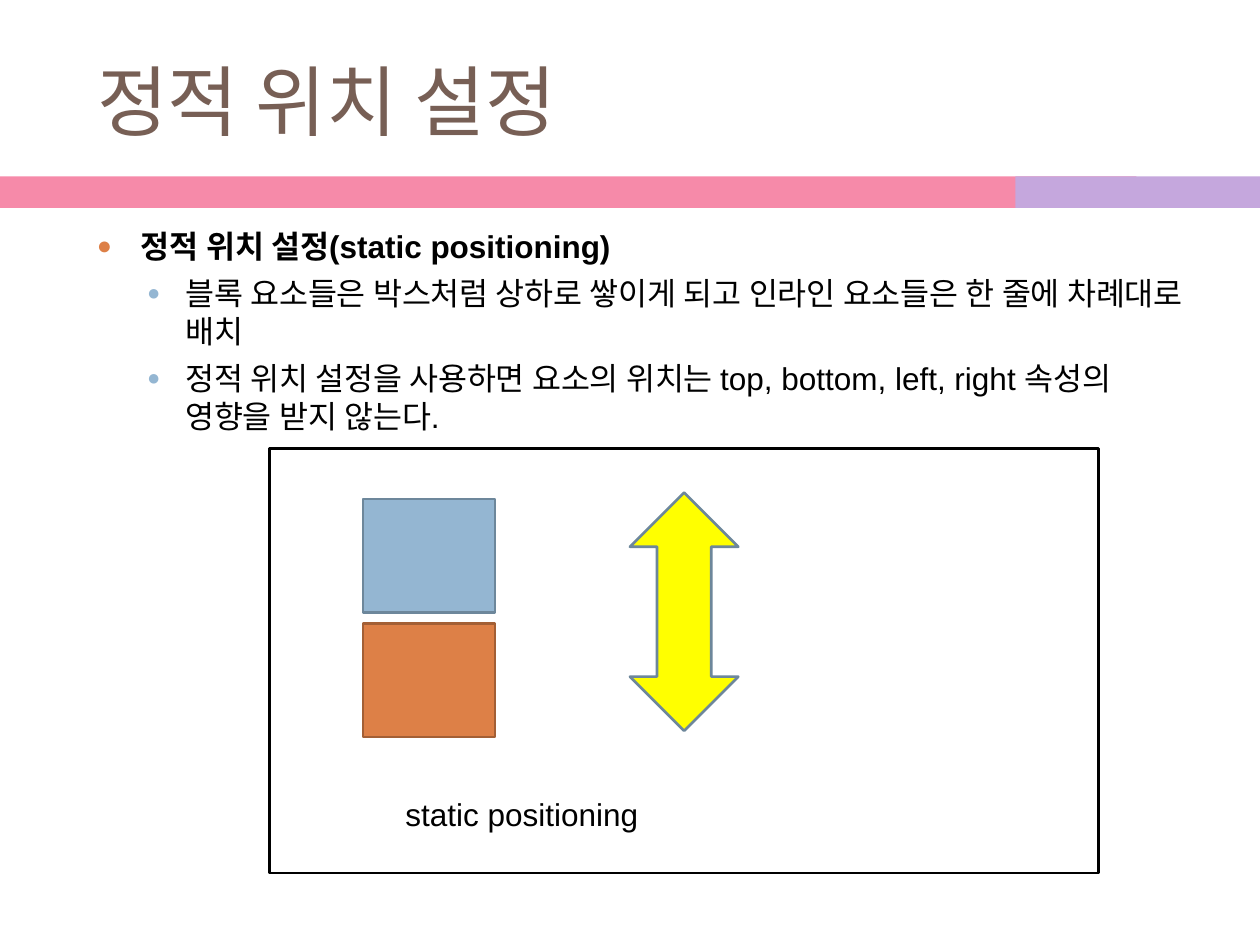
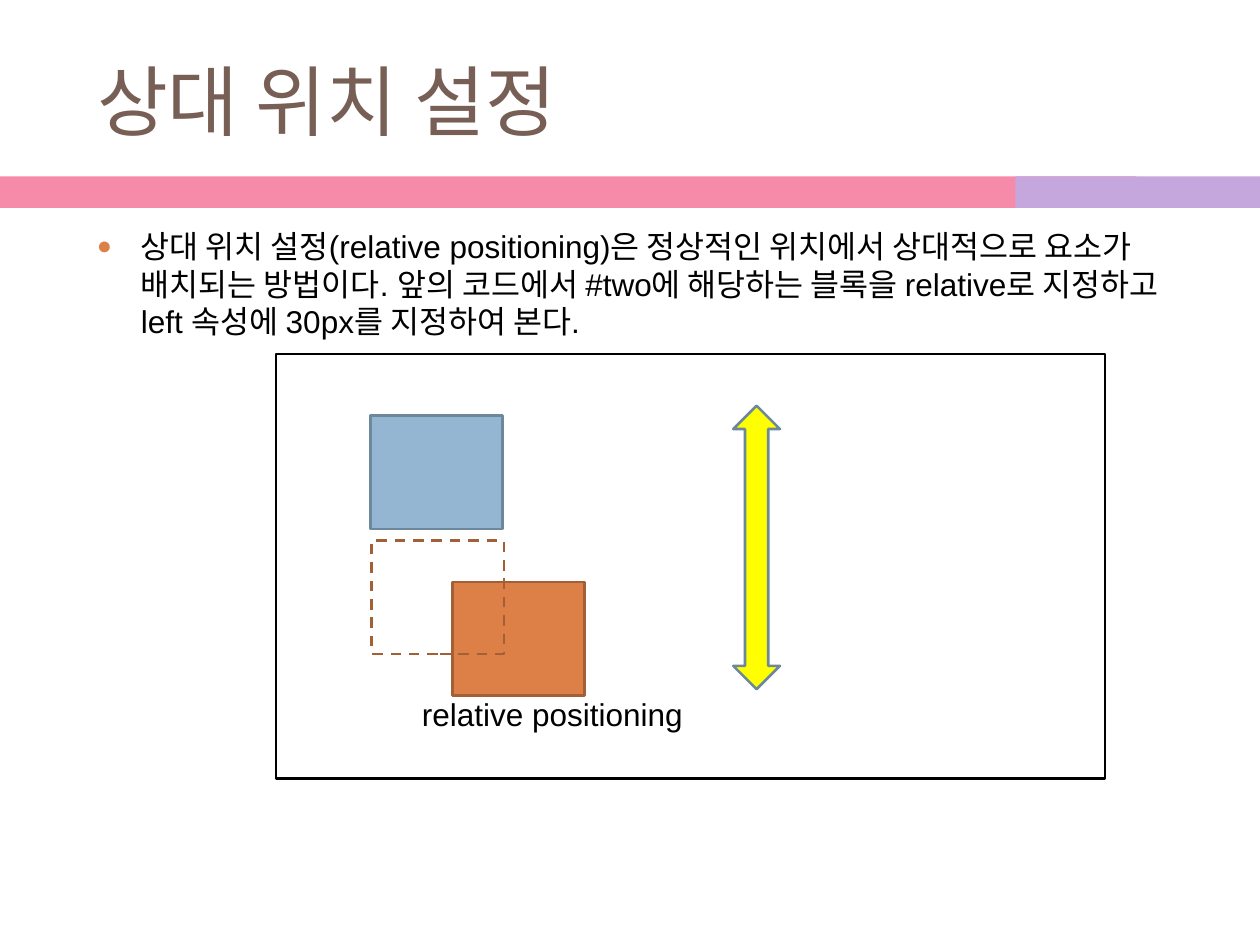
from dataclasses import dataclass

from lxml import etree
from pptx import Presentation
from pptx import util as u
from pptx.dml.color import RGBColor
from pptx.enum import dml, shapes, text
from pptx.oxml.ns import qn

SLIDE_WIDTH, SLIDE_HEIGHT = u.Inches(10), u.Inches(7.5)
COLUMN, ROW = SLIDE_WIDTH // 100, SLIDE_HEIGHT // 75


@dataclass(frozen=True)
class Theme:
    title_color: str = "775F55"
    ink: str = "000000"
    pink: str = "F68AA9"
    violet: str = "C5A7DD"
    blue: str = "94B6D2"
    blue_edge: str = "6D879B"
    orange: str = "DD8047"
    orange_edge: str = "A35F35"
    yellow: str = "FFFF00"
    title_font: str = "Calibri"
    body_font: str = "Arial"
    title_size: float = 44
    body_size: float = 18
    edge: float = 1.5


@dataclass(frozen=True)
class Box:
    """A rectangle in grid columns and rows."""
    left: float
    top: float
    width: float
    height: float

    def inside(self, left, top, width, height):
        return Box(self.left + left, self.top + top, width, height)

    def place(self):
        return (round(self.left * COLUMN), round(self.top * ROW),
                round(self.width * COLUMN), round(self.height * ROW))


THEME = Theme()
TITLE = Box(6.7, 2.5, 89.2, 10.8)
BODY = Box(6.7, 17.5, 89.2, 49.2)
BANDS = ((Box(0, 14, 90.2, 2.5), THEME.pink),
         (Box(80.6, 14, 19.4, 2.5), THEME.violet))
PANEL_SIZE = (65.8, 33.7)
BLOCK_SIZE = (10.5, 9)
# Per level: indent, hanging (columns), space before (pt), bullet colour, bullet %
LEVELS = ((3.5, 3.5, 7, THEME.orange, 80),
          (7, 3, 5.5, THEME.blue, 70))


def apply(target, formats):
    for name, value in formats.items():
        setattr(target, name, value)


def write(para, words, size=THEME.body_size, name=THEME.body_font,
          color=THEME.ink, bold=False):
    span = para.add_run()
    span.text = words
    apply(span.font, {"size": u.Pt(size), "name": name, "bold": bold})
    span.font.color.rgb = RGBColor.from_string(color)


def add_figure(page, kind, box, fill=None, edge=None, dash=None):
    """Add a preset shape; without a fill or an edge it has none."""
    figure = page.shapes.add_shape(kind, *box.place())
    figure.shadow.inherit = False
    if fill:
        figure.fill.solid()
        figure.fill.fore_color.rgb = RGBColor.from_string(fill)
    else:
        figure.fill.background()
    if edge:
        figure.line.color.rgb = RGBColor.from_string(edge)
        apply(figure.line, {"width": u.Pt(THEME.edge), "dash_style": dash})
    else:
        figure.line.fill.background()
    return figure


def add_rectangle(page, box, **look):
    return add_figure(page, shapes.MSO_SHAPE.RECTANGLE, box, **look)


def add_header(page, title):
    for box, color in BANDS:
        add_rectangle(page, box, fill=color)
    holder = page.shapes.title
    apply(holder, dict(zip(("left", "top", "width", "height"), TITLE.place())))
    apply(holder.text_frame, {"vertical_anchor": text.MSO_ANCHOR.MIDDLE,
                              "auto_size": text.MSO_AUTO_SIZE.NONE})
    para = holder.text_frame.paragraphs[0]
    para.alignment = text.PP_ALIGN.LEFT
    write(para, title, THEME.title_size, THEME.title_font, THEME.title_color)


def add_bullet(para, level):
    indent, hanging, _, color, percent = LEVELS[level]
    props = para._p.get_or_add_pPr()
    props.set("marL", str(round(indent * COLUMN)))
    props.set("indent", str(-round(hanging * COLUMN)))
    tint = etree.SubElement(props, qn("a:buClr"))
    etree.SubElement(tint, qn("a:srgbClr"), val=color)
    etree.SubElement(props, qn("a:buSzPct"), val=str(percent * 1000))
    etree.SubElement(props, qn("a:buFont"), typeface=THEME.body_font)
    etree.SubElement(props, qn("a:buChar"), char="●")


def add_body(page, points):
    """Add bulleted points, each given as (level, bold, words)."""
    frame = page.shapes.add_textbox(*BODY.place()).text_frame
    frame.word_wrap = True
    for number, (level, bold, words) in enumerate(points):
        para = frame.add_paragraph() if number else frame.paragraphs[0]
        add_bullet(para, level)
        para.level = level
        if number:
            para.space_before = u.Pt(LEVELS[level][2])
        write(para, words, bold=bold)


def add_diagram(page, panel, blue, orange, arrow, caption, words, ghost=None):
    """Draw the stacked blocks; every place is relative to the panel."""
    add_rectangle(page, panel.inside(*blue, *BLOCK_SIZE),
                  fill=THEME.blue, edge=THEME.blue_edge)
    add_rectangle(page, panel.inside(*orange, *BLOCK_SIZE),
                  fill=THEME.orange, edge=THEME.orange_edge)
    flow = add_figure(page, shapes.MSO_SHAPE.UP_DOWN_ARROW, panel.inside(*arrow),
                      fill=THEME.yellow, edge=THEME.blue_edge)
    flow.adjustments[0], flow.adjustments[1] = 0.53, 0.5
    if ghost:
        add_rectangle(page, panel.inside(*ghost, *BLOCK_SIZE),
                      edge=THEME.orange_edge, dash=dml.MSO_LINE.DASH)
    label = page.shapes.add_textbox(*panel.inside(*caption).place())
    apply(label.text_frame, {"word_wrap": False,
                             "auto_size": text.MSO_AUTO_SIZE.SHAPE_TO_FIT_TEXT})
    write(label.text_frame.paragraphs[0], words)
    add_rectangle(page, panel, edge=THEME.ink)


def add_page(deck, title, points, diagram):
    page = deck.slides.add_slide(deck.slide_layouts[5])
    add_header(page, title)
    add_body(page, points)
    add_diagram(page, **diagram)


def main():
    deck = Presentation()
    apply(deck, {"slide_width": SLIDE_WIDTH, "slide_height": SLIDE_HEIGHT})
    add_page(
        deck, "정적 위치 설정",
        [(0, True, "정적 위치 설정(static positioning)"),
         (1, False, "블록 요소들은 박스처럼 상하로 쌓이게 되고 인라인 요소들은 "
                    "한 줄에 차례대로 배치"),
         (1, False, "정적 위치 설정을 사용하면 요소의 위치는 top, bottom, left, "
                    "right 속성의 영향을 받지 않는다.")],
        {"panel": Box(21.4, 35.6, *PANEL_SIZE), "blue": (7.4, 4),
         "orange": (7.4, 13.9), "arrow": (28.6, 3.5, 8.6, 18.9),
         "caption": (9.8, 27, 20.7, 4), "words": "static positioning"})
    add_page(
        deck, "상대 위치 설정",
        [(0, False, "상대 위치 설정(relative positioning)은 정상적인 위치에서 "
                    "상대적으로 요소가 배치되는 방법이다. 앞의 코드에서 #two에 "
                    "해당하는 블록을 relative로 지정하고 left 속성에 30px를 "
                    "지정하여 본다.")],
        {"panel": Box(21.9, 28.1, *PANEL_SIZE), "blue": (7.5, 4.9),
         "orange": (14, 18.1), "ghost": (7.6, 14.8),
         "arrow": (36.3, 4.1, 3.7, 22.5), "caption": (10.6, 26.6, 22.9, 4),
         "words": "relative positioning"})
    deck.save("out.pptx")


if __name__ == "__main__":
    main()
